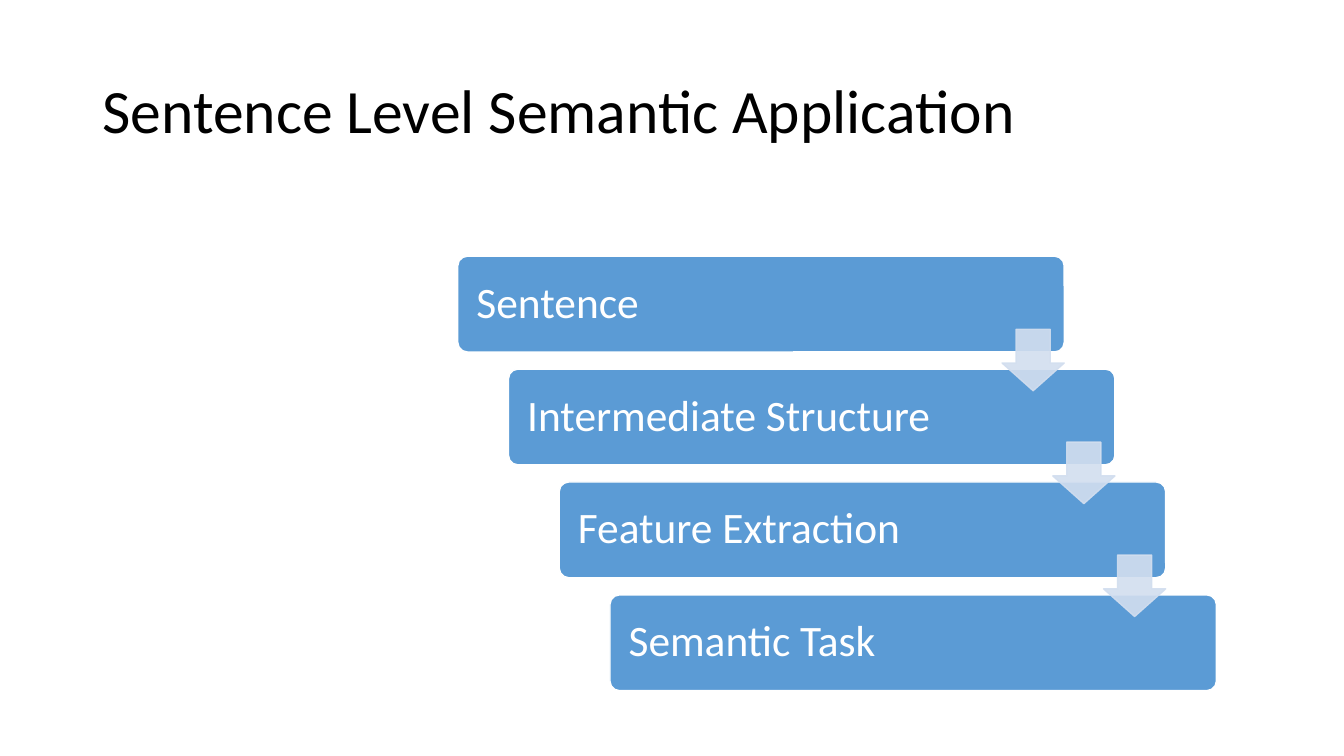
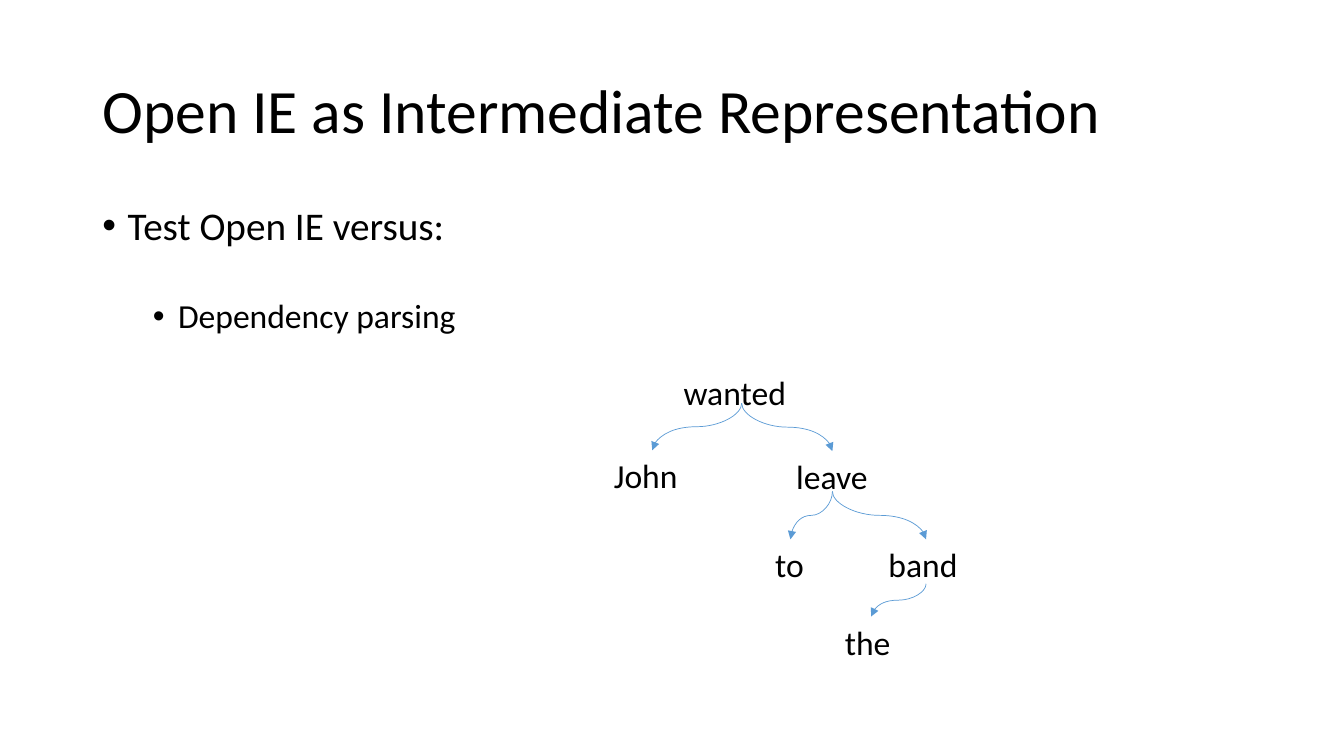
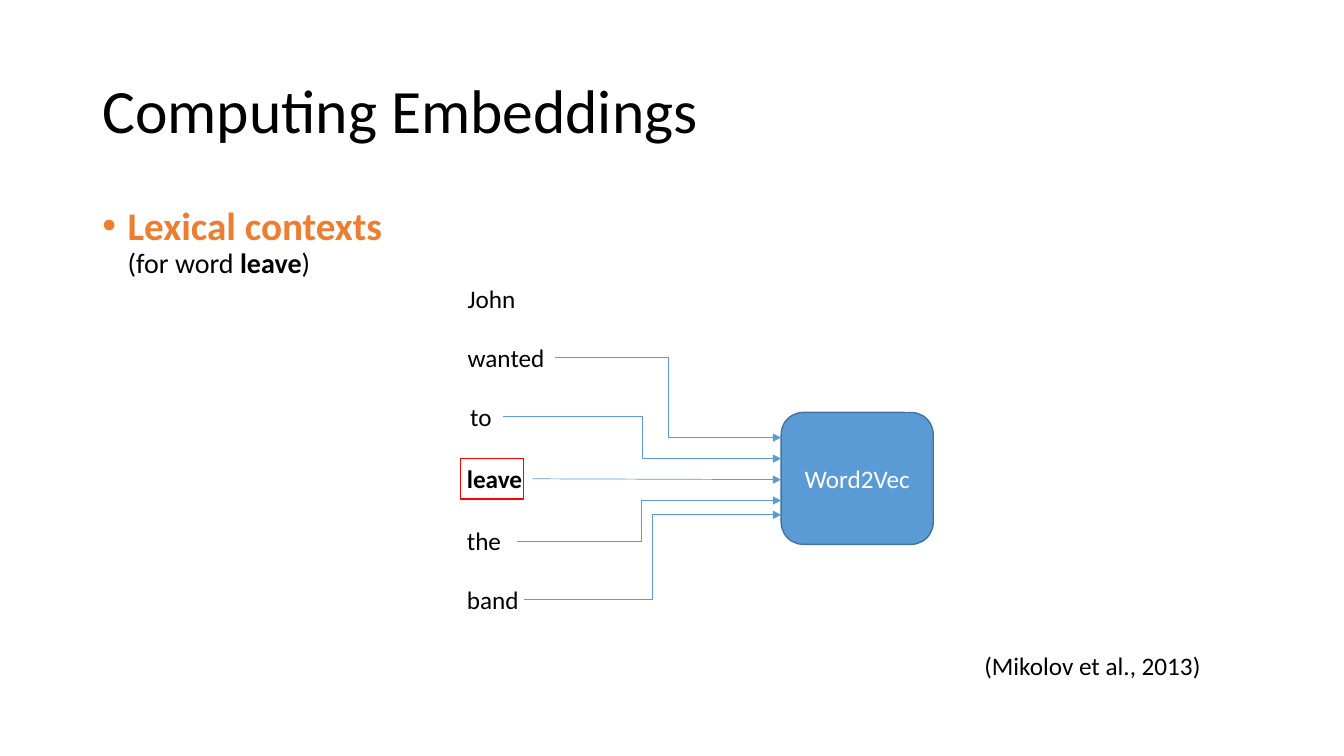
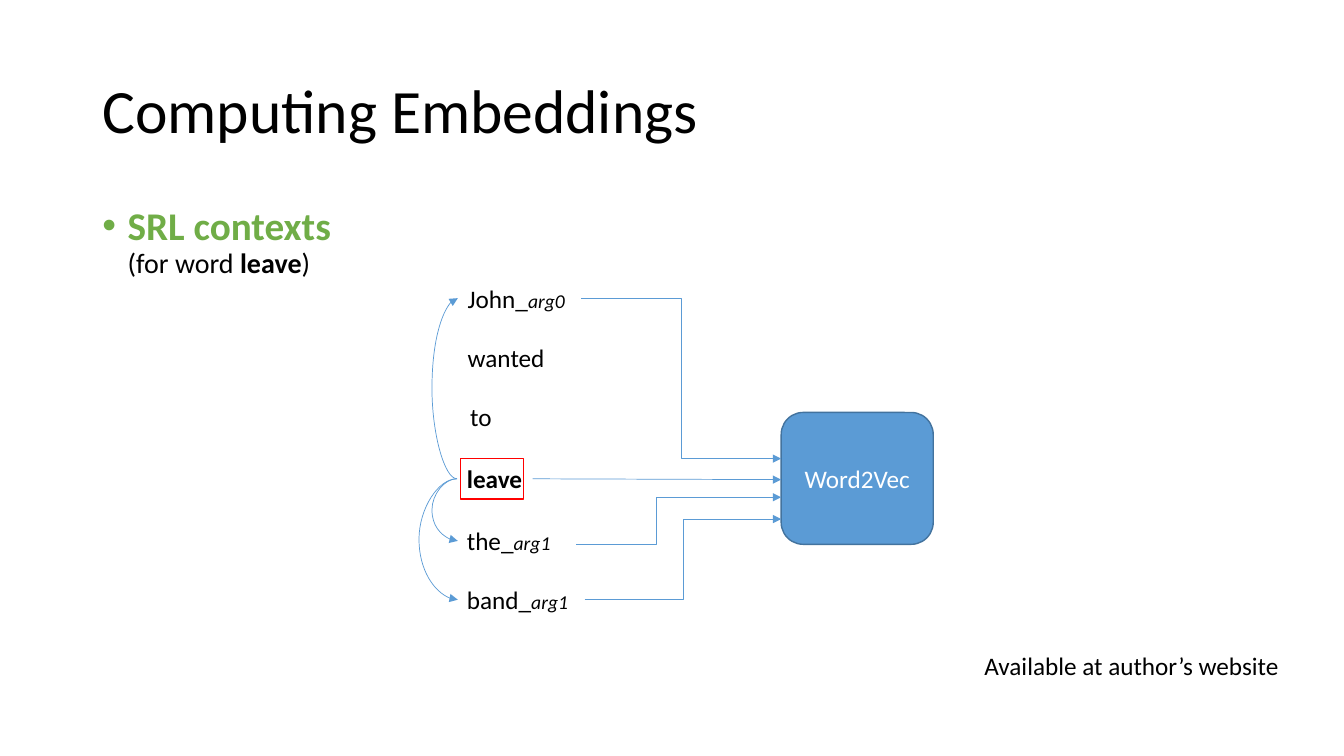
import dataclasses
import typing

import lxml.etree
import pptx
import pptx.dml.color
import pptx.enum.shapes
import pptx.enum.text
import pptx.oxml.ns
import pptx.slide
import pptx.util

COLS, ROWS = 80, 45                  # the slide is a grid of square cells
CELL = pptx.util.Inches(1) / 6

SHAPE = pptx.enum.shapes.MSO_SHAPE
LINK = pptx.enum.shapes.MSO_CONNECTOR
ALIGN = pptx.enum.text.PP_ALIGN
ANCHOR = pptx.enum.text.MSO_ANCHOR


@dataclasses.dataclass(frozen=True)
class Theme:
    font: str = "Calibri"
    ink: str = "000000"
    white: str = "FFFFFF"
    blue: str = "5B9BD5"
    edge: str = "43739E"
    pale: str = "D2DEEF"
    red: str = "FF0000"
    orange: str = "ED7D31"
    green: str = "70AD47"
    title: float = 44
    step: float = 31
    head: float = 28
    item: float = 24
    note: float = 20
    word: float = 18
    role: float = 14
    thin: float = 0.5
    spacing: float = 0.9


class Box(typing.NamedTuple):
    """A place on the grid, in columns and rows."""
    left: float
    top: float
    width: float
    height: float

    @property
    def mid(self) -> float:
        return self.left + self.width / 2

    @property
    def right(self) -> float:
        return self.left + self.width

    @property
    def low(self) -> float:
        return self.top + self.height


class Node(typing.NamedTuple):
    """A word of the parse tree and the word above it."""
    text: str
    box: Box
    parent: str = ""


class Word(typing.NamedTuple):
    """A word of the sentence and its arrow into the model."""
    text: str
    left: float
    width: float
    role: str = ""
    port: float = 0       # row where the arrow ends; 0 means no arrow
    turn: float = 0.5     # share of the way where the arrow bends
    drop: float = 0       # rows the arrow starts below the middle
    loop: float = 0       # columns the curve from the key word swings out


THEME = Theme()
TITLE = Box(5.5, 2.4, 69, 8.7)
BODY = Box(5.5, 12, 69, 28.55)
NOTE = Box(58, 38.4, 19.6, 2.4)
MODEL = Box(46.5, 24.55, 9.05, 7.85)
MARK = Box(27.4, 27.3, 3.75, 2.4)
KEY = "leave"
WORD_TOPS = (16.55, 20.1, 23.6, 27.3, 31, 34.5)
WORD_HIGH = 2.4

STEPS = ("Sentence", "Intermediate Structure", "Feature Extraction", "Semantic Task")
STEP = Box(27.25, 15.25, 36.1, 5.7)
ARROW = Box(59.65, 19.6, 3.7, 3.66)
SHIFT, DROP = 3.02, 6.72

TREE = (
    Node("wanted", Box(40.1, 21.85, 8.1, 2.15)),
    Node("John", Box(35.95, 26.8, 5.75, 2.45), "wanted"),
    Node("leave", Box(46.8, 26.85, 5.5, 2.4), "wanted"),
    Node("to", Box(45.55, 32.1, 3, 2.7), "leave"),
    Node("band", Box(52.3, 32.1, 5.65, 2.65), "leave"),
    Node("the", Box(49.7, 36.7, 4.3, 2.6), "band"),
)
LEXICAL = (
    Word("John", 27.25, 4.45),
    Word("wanted", 27.25, 5.8, port=26.05),
    Word("to", 27.4, 2.55, port=27.3),
    Word("leave", 27.2, 4.5, port=28.55),
    Word("the", 27.2, 3.6, port=29.8, turn=0.47),
    Word("band", 27.2, 4, port=30.65),
)
ROLES = (
    Word("John_", 27.25, 7.35, "arg0", port=27.3, loop=1.5),
    Word("wanted", 27.25, 5.8),
    Word("to", 27.4, 3.2),
    Word("leave", 27.2, 4.5, port=28.55),
    Word("the_", 27.2, 7.1, "arg1", port=29.6, turn=0.39, drop=0.2, loop=1.5),
    Word("band_", 27.2, 7.6, "arg1", port=30.9, loop=2.28),
)


def cells(count: float) -> int:
    return round(count * CELL)


def place(box: Box) -> tuple[int, ...]:
    return tuple(cells(side) for side in box)


def tint(color: str) -> pptx.dml.color.RGBColor:
    return pptx.dml.color.RGBColor.from_string(color)


def child(node: typing.Any, tag: str, **attrs: str) -> typing.Any:
    return lxml.etree.SubElement(node, pptx.oxml.ns.qn(tag), attrs)


def write(para: typing.Any, text: str, *, size: float, color: str = THEME.ink,
          bold: bool = False, slant: bool = False) -> None:
    """Add one formatted run to a paragraph."""
    run = para.add_run()
    run.text = text
    font = run.font
    font.name, font.size = THEME.font, pptx.util.Pt(size)
    font.bold, font.italic = bold, slant
    font.color.rgb = tint(color)


def block(para: typing.Any, *, level: int = 0, before: float = 0, dot: bool = True) -> None:
    """Set the spacing, indent and bullet of a body paragraph."""
    para.level = level
    para.line_spacing = THEME.spacing
    para.space_before = pptx.util.Pt(before)
    props = para._p.get_or_add_pPr()
    hang = cells(1.5)
    props.set("marL", str(hang * (1 + 2 * level)))
    props.set("indent", str(-hang if dot else 0))
    if dot:
        child(props, "a:buChar", char="•")
    else:
        child(props, "a:buNone")


def label(slide: pptx.slide.Slide, box: Box) -> typing.Any:
    """Add a text box and return its first paragraph."""
    frame = slide.shapes.add_textbox(*place(box)).text_frame
    frame.word_wrap = True
    frame.margin_right = 0
    return frame.paragraphs[0]


def form(slide: pptx.slide.Slide, kind: SHAPE, box: Box, *, fill: str = "",
         line: str = THEME.white, alpha: int = 100) -> typing.Any:
    """Add a preset shape with a one-point outline."""
    shape = slide.shapes.add_shape(kind, *place(box))
    shape.shadow.inherit = False
    shape.line.width = pptx.util.Pt(1)
    shape.line.color.rgb = tint(line)
    if fill:
        shape.fill.solid()
        shape.fill.fore_color.rgb = tint(fill)
    else:
        shape.fill.background()
    if alpha < 100:
        for color in shape._element.spPr.iter(pptx.oxml.ns.qn("a:srgbClr")):
            child(color, "a:alpha", val=str(alpha * 1000))
    return shape


def link(slide: pptx.slide.Slide, kind: LINK, x1: float, y1: float, x2: float, y2: float,
         *, turn: float = 0.5, spin: int = 0) -> None:
    """Add a thin connector that ends in an arrowhead."""
    line = slide.shapes.add_connector(kind, *(cells(end) for end in (x1, y1, x2, y2)))
    line.line.width = pptx.util.Pt(THEME.thin)
    line.line.color.rgb = tint(THEME.blue)
    props = line._element.spPr
    child(props.find(pptx.oxml.ns.qn("a:ln")), "a:tailEnd", type="triangle")
    child(props, "a:effectLst")
    if spin:
        props.find(pptx.oxml.ns.qn("a:xfrm")).set("rot", str(spin * 60000))
    if turn != 0.5:
        guides = props.find(".//" + pptx.oxml.ns.qn("a:avLst"))
        child(guides, "a:gd", name="adj1", fmla=f"val {round(turn * 100000)}")


def branch(slide: pptx.slide.Slide, upper: Box, lower: Box) -> None:
    """Curve from the bottom of one word down to the top of another."""
    x, y = (upper.mid + lower.mid) / 2, (upper.low + lower.top) / 2
    high, wide = (lower.top - upper.low) / 2, abs(lower.mid - upper.mid) / 2
    left = lower.mid < upper.mid
    reach = high if left else -high
    link(slide, LINK.CURVE, x - reach, y - wide, x + reach, y + wide, spin=90 if left else 270)


def start(deck: typing.Any, title: str) -> pptx.slide.Slide:
    """Add a slide with its title and an empty body placeholder."""
    slide = deck.slides.add_slide(deck.slide_layouts[1])
    for holder, box in zip(slide.placeholders, (TITLE, BODY)):
        holder.left, holder.top, holder.width, holder.height = place(box)
        holder.text_frame.auto_size = pptx.enum.text.MSO_AUTO_SIZE.NONE
    frame = slide.shapes.title.text_frame
    frame.vertical_anchor = ANCHOR.MIDDLE
    para = frame.paragraphs[0]
    para.alignment = ALIGN.LEFT
    para.line_spacing = THEME.spacing
    write(para, title, size=THEME.title)
    return slide


def stairs(deck: typing.Any) -> None:
    slide = start(deck, "Sentence Level Semantic Application")
    body = slide.placeholders[1]._element
    body.getparent().remove(body)
    # Steps
    for i, text in enumerate(STEPS):
        box = STEP._replace(left=STEP.left + i * SHIFT, top=STEP.top + i * DROP)
        step = form(slide, SHAPE.ROUNDED_RECTANGLE, box, fill=THEME.blue)
        step.adjustments[0] = 0.1
        frame = step.text_frame
        frame.margin_left = cells(0.95)
        frame.vertical_anchor = ANCHOR.MIDDLE
        para = frame.paragraphs[0]
        para.alignment = ALIGN.LEFT
        para.line_spacing = THEME.spacing
        write(para, text, size=THEME.step, color=THEME.white)
    # Arrows between the steps
    for i in range(len(STEPS) - 1):
        box = ARROW._replace(left=ARROW.left + i * SHIFT, top=ARROW.top + i * DROP)
        arrow = form(slide, SHAPE.DOWN_ARROW, box, fill=THEME.pale, line=THEME.pale, alpha=90)
        arrow.adjustments[0], arrow.adjustments[1] = 0.55, 0.45


def tree(deck: typing.Any) -> None:
    slide = start(deck, "Open IE as Intermediate Representation")
    # List
    frame = slide.placeholders[1].text_frame
    para = frame.paragraphs[0]
    block(para, before=10)
    write(para, "Test Open IE versus:", size=THEME.head)
    para = frame.add_paragraph()
    block(para, level=1, before=36)
    write(para, "Dependency parsing", size=THEME.item)
    # Parse tree
    boxes = {node.text: node.box for node in TREE}
    for node in TREE:
        write(label(slide, node.box), node.text, size=THEME.item)
    for node in TREE:
        if node.parent:
            branch(slide, boxes[node.parent], node.box)


def model(deck: typing.Any, head: str, color: str, words: tuple[Word, ...], note: str) -> None:
    slide = start(deck, "Computing Embeddings")
    # List
    frame = slide.placeholders[1].text_frame
    para = frame.paragraphs[0]
    block(para, before=10)
    write(para, head, size=THEME.head, color=color, bold=True)
    para = frame.add_paragraph()
    block(para, dot=False)
    for text in ("(for word ", KEY, ")"):
        write(para, text, size=THEME.note, bold=text == KEY)
    write(label(slide, NOTE), note, size=THEME.word)
    # Model
    chip = form(slide, SHAPE.ROUNDED_RECTANGLE, MODEL, fill=THEME.blue, line=THEME.edge)
    chip.text_frame.vertical_anchor = ANCHOR.MIDDLE
    para = chip.text_frame.paragraphs[0]
    para.alignment = ALIGN.CENTER
    write(para, "Word2Vec", size=THEME.word, color=THEME.white)
    # Words and their arrows
    hub = MARK.top + MARK.height / 2
    for word, top in zip(words, WORD_TOPS):
        box = Box(word.left, top, word.width, WORD_HIGH)
        para = label(slide, box)
        write(para, word.text, size=THEME.word, bold=word.text == KEY)
        if word.role:
            write(para, word.role, size=THEME.role, slant=True)
        row = top + WORD_HIGH / 2
        if word.port:
            kind = LINK.STRAIGHT if word.text == KEY else LINK.ELBOW
            link(slide, kind, box.right, row + word.drop, MODEL.left, word.port, turn=word.turn)
        if word.loop:
            gap = 0.05
            link(slide, LINK.CURVE, 27.2, hub, 27.2 + gap, row, turn=-word.loop / gap)
    form(slide, SHAPE.RECTANGLE, MARK, line=THEME.red)


def main() -> None:
    deck = pptx.Presentation()
    deck.slide_width, deck.slide_height = cells(COLS), cells(ROWS)
    stairs(deck)
    tree(deck)
    model(deck, "Lexical contexts", THEME.orange, LEXICAL, "(Mikolov et al., 2013)")
    model(deck, "SRL contexts", THEME.green, ROLES, "Available at author’s website")
    deck.save("out.pptx")


if __name__ == "__main__":
    main()
